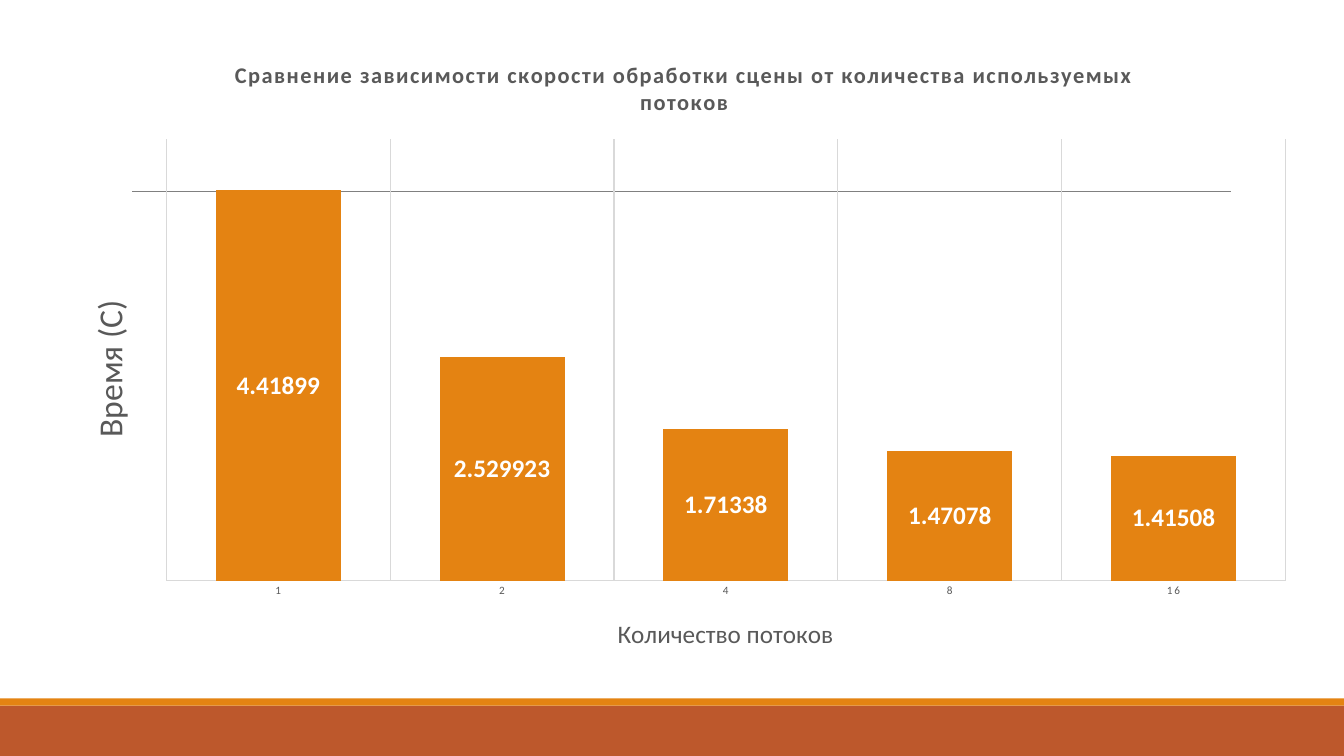
import pptx
import pptx.chart.data
import pptx.dml.color
import pptx.enum.chart
import pptx.enum.shapes
import pptx.oxml
import pptx.oxml.ns
import pptx.util

Inches = pptx.util.Inches
Pt = pptx.util.Pt
qn = pptx.oxml.ns.qn

ORANGE, RUST, BROWN = "E48312", "BD582C", "865640"
GREY, GRID, RULE, WHITE = "595959", "D9D9D9", "808080", "FFFFFF"


def rgb(value):
    return pptx.dml.color.RGBColor.from_string(value)


class SlideBuilder:
    font_name = "Calibri"
    chart_box = (0.62, 0.4, 12.37, 6.29)

    def __init__(self, prs):
        self.slide = prs.slides.add_slide(prs.slide_layouts[6])

    def format_font(self, font, color, spacing=0, **values):
        for name, value in {"name": self.font_name, "bold": False, **values}.items():
            setattr(font, name, value)
        font.color.rgb = rgb(color)
        if spacing:
            font._element.set("spc", str(spacing))

    def format_line(self, line, color, width):
        line.color.rgb = rgb(color)
        line.width = Pt(width)

    def band(self, top, height, color):
        sp = self.slide.shapes.add_shape(
            pptx.enum.shapes.MSO_SHAPE.RECTANGLE,
            0, Inches(top), Inches(13.33), Inches(height))
        sp.shadow.inherit = False
        sp.fill.solid()
        sp.fill.fore_color.rgb = rgb(color)
        sp.line.fill.background()

    def rule(self, left, right, y, color, width):
        line = self.slide.shapes.add_connector(
            pptx.enum.shapes.MSO_CONNECTOR.STRAIGHT,
            Inches(left), Inches(y), Inches(right), Inches(y))
        self.format_line(line.line, color, width)
        line._element.spPr.append(pptx.oxml.parse_xml(
            f'<a:effectLst {pptx.oxml.ns.nsdecls("a")}/>'))

    def place(self, parent, index, x, y, size=None):
        for old in parent.findall(qn("c:layout")):
            parent.remove(old)
        left, top, width, height = self.chart_box
        values = {"xMode": "edge", "yMode": "edge",
                  "x": (x - left) / width, "y": (y - top) / height}
        if size:
            values = {"layoutTarget": "inner", **values,
                      "w": size[0] / width, "h": size[1] / height}
        items = "".join(f'<c:{k} val="{v}"/>' for k, v in values.items())
        parent.insert(index, pptx.oxml.parse_xml(
            f'<c:layout {pptx.oxml.ns.nsdecls("c")}>'
            f'<c:manualLayout>{items}</c:manualLayout></c:layout>'))

    def title(self, owner, lines, x, y, rotation=0, **font):
        owner.has_title = True
        title = owner.chart_title if hasattr(owner, "chart_title") else owner.axis_title
        tf = title.text_frame
        p = tf.paragraphs[0]
        for i, line in enumerate(lines):
            if i:
                p.add_line_break()
            r = p.add_run()
            r.text = line
            self.format_font(r.font, GREY, **font)
        if rotation:
            body = tf._txBody.find(qn("a:bodyPr"))
            body.set("rot", str(rotation * 60000))
            body.set("vert", "horz")
        self.place(title._element, 1, x, y)

    def column_chart(self, categories, series):
        data = pptx.chart.data.CategoryChartData()
        data.categories = categories
        for name, values, color, size in series:
            data.add_series(name, values)
        chart = self.slide.shapes.add_chart(
            pptx.enum.chart.XL_CHART_TYPE.COLUMN_STACKED,
            *[Inches(v) for v in self.chart_box], data).chart
        chart.has_legend = False
        chart.font.name = self.font_name
        chart.font.size = Pt(10)
        plot = chart.plots[0]
        for name, value in {"gap_width": 79, "overlap": 100,
                            "vary_by_categories": False}.items():
            setattr(plot, name, value)
        for ser, (name, values, color, size) in zip(plot.series, series):
            ser.format.fill.solid()
            ser.format.fill.fore_color.rgb = rgb(color)
            labels = ser.data_labels
            labels.show_value = True
            labels.position = pptx.enum.chart.XL_LABEL_POSITION.CENTER
            self.format_font(labels.font, WHITE, size=Pt(size), bold=True)
        self.format_axes(chart)
        return chart

    def format_axes(self, chart):
        none = pptx.enum.chart.XL_TICK_MARK.NONE
        cat, val = chart.category_axis, chart.value_axis
        cat.major_tick_mark = cat.minor_tick_mark = none
        cat.has_major_gridlines = True
        for part in (cat, cat.major_gridlines):
            self.format_line(part.format.line, GRID, 0.75)
        self.format_font(cat.tick_labels.font, GREY, spacing=120, size=Pt(8))
        for name, value in {"visible": False, "has_major_gridlines": False,
                            "minimum_scale": 0, "maximum_scale": 5}.items():
            setattr(val, name, value)


def main():
    prs = pptx.Presentation()
    prs.slide_width, prs.slide_height = Inches(13.33), Inches(7.5)
    s = SlideBuilder(prs)
    s.band(7, 0.5, RUST)
    s.band(6.93, 0.07, ORANGE)
    s.rule(1.31, 12.21, 1.9, RULE, 0.5)

    times = [4.41899, 2.529923, 1.71338, 1.47078, 1.41508]
    blank = [None] * len(times)
    chart = s.column_chart(
        ["1", "2", "4", "8", "16"],
        [("Series 1", times, ORANGE, 18),
         ("Series 2", blank, RUST, 8),
         ("Series 3", blank, BROWN, 8)])
    s.place(chart._chartSpace.chart.plotArea, 0, 1.65, 1.38, (11.1, 4.38))
    s.title(chart,
            ["Сравнение зависимости скорости обработки сцены от количества используемых",
             "потоков"],
            2.3, 0.57, spacing=120, size=Pt(16), bold=True)
    s.title(chart.category_axis, ["Количество потоков"], 6.08, 6.07, size=Pt(18))
    s.title(chart.value_axis, ["Время (С)"], 0.8, 2.92, rotation=-90, size=Pt(24))
    prs.save("out.pptx")


if __name__ == "__main__":
    main()
